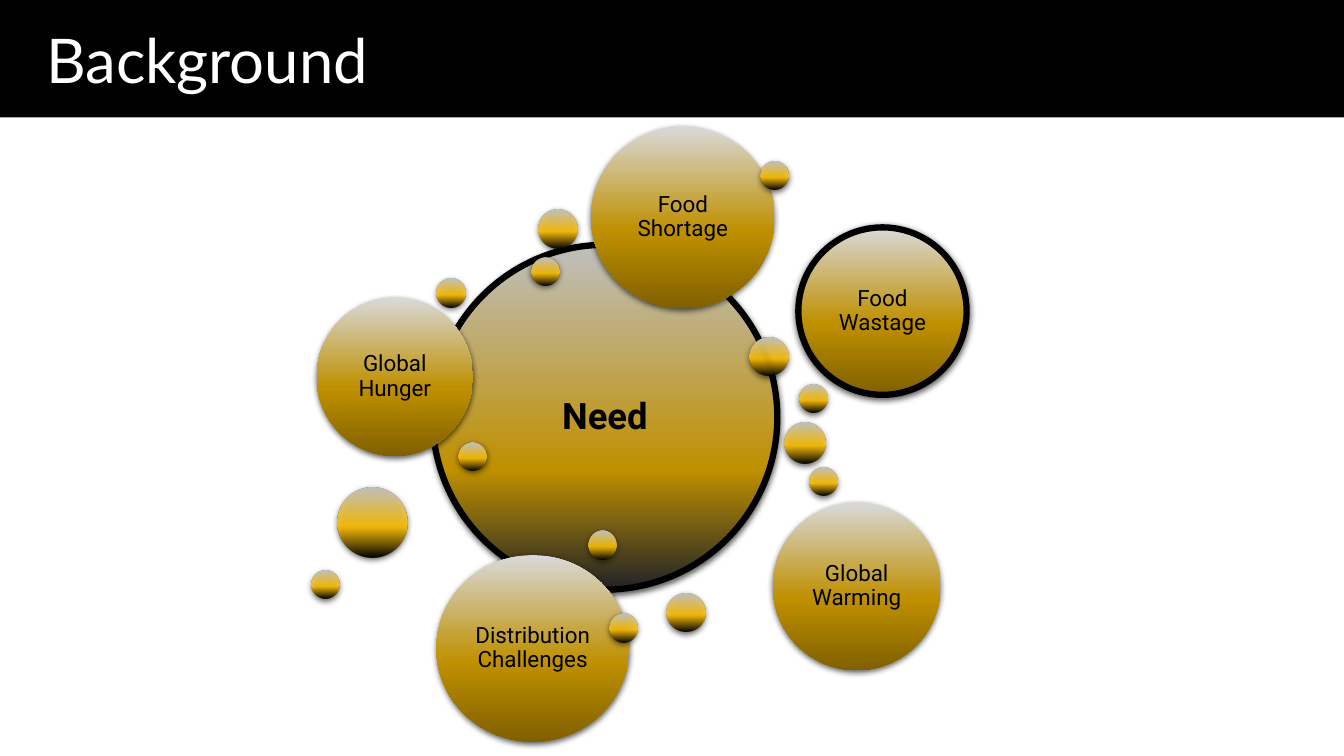
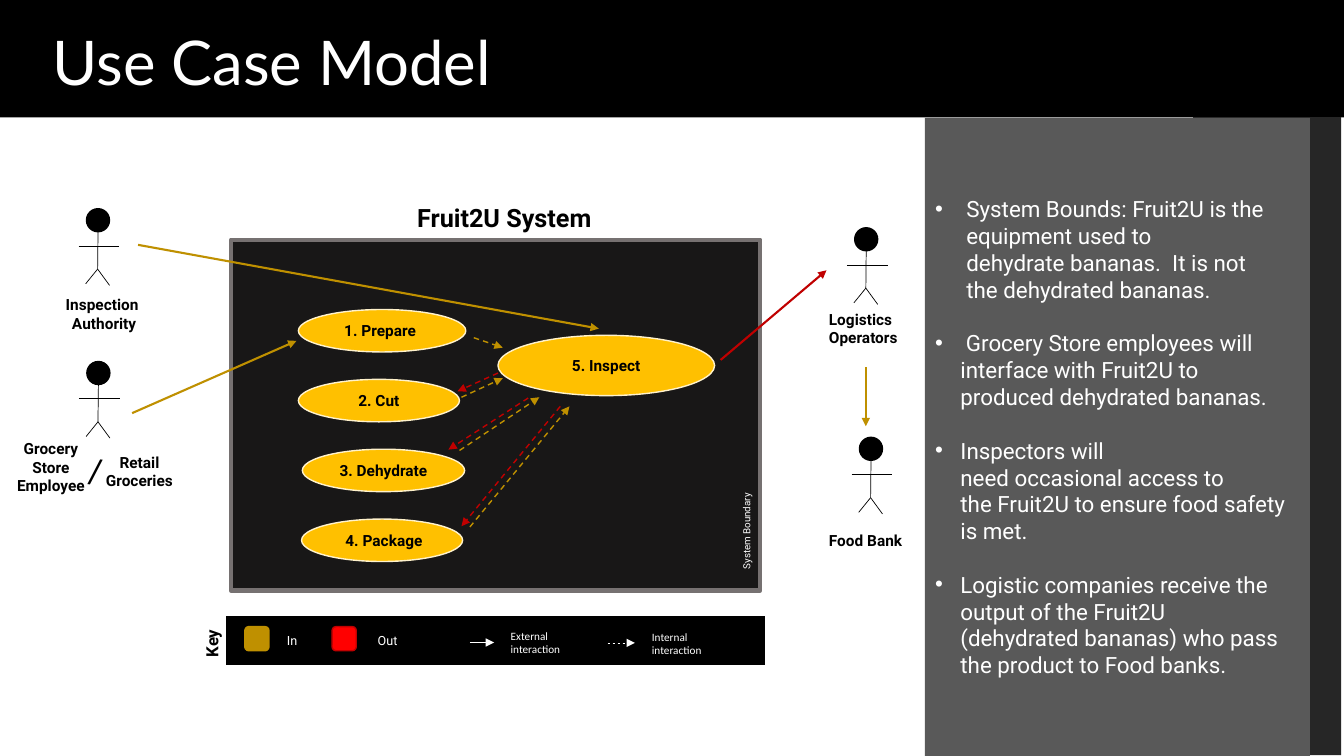
from dataclasses import dataclass
from typing import Any, NamedTuple

from lxml.etree import SubElement
from pptx import Presentation
from pptx.dml.color import RGBColor
from pptx.enum.dml import MSO_LINE
from pptx.enum.shapes import MSO_CONNECTOR, MSO_SHAPE
from pptx.enum.text import MSO_ANCHOR, MSO_AUTO_SIZE, PP_ALIGN
from pptx.oxml.ns import qn
from pptx.util import Cm, Pt


@dataclass(frozen=True)
class Theme:
    black: str = "000000"
    white: str = "FFFFFF"
    gold: str = "BF9000"
    amber: str = "FFC000"
    cream: str = "FFF2CC"
    red: str = "FF0000"
    dark_red: str = "C00000"
    panel: str = "595959"
    strip: str = "262626"
    system: str = "181717"
    system_edge: str = "767171"
    heading_font: str = "Lato"
    body_font: str = "Roboto"
    legend_font: str = "Calibri"
    title_size: float = 44
    core_size: float = 26
    body_size: float = 16
    label_size: float = 11


THEME = Theme()
TIE = "~"
NO_BREAK_SPACE = chr(160)
CORE_GRADIENT = [(0, "BFBFBF", 100), (65, THEME.gold, 100), (99, THEME.strip, 100)]
TOPIC_GRADIENT = [(0, "D9D9D9", 100), (57, THEME.gold, 100), (100, "806000", 100)]
DOT_GRADIENT = [(0, "BFBFBF", 100), (56, THEME.amber, 89), (100, THEME.black, 100)]


class Box(NamedTuple):
    left: float
    top: float
    width: float
    height: float


@dataclass(frozen=True)
class TextStyle:
    size: float = THEME.label_size
    color: str = THEME.black
    bold: bool = False
    font: str = THEME.body_font
    align: Any = PP_ALIGN.LEFT
    spacing: float = 1.0


@dataclass(frozen=True)
class Bubble:
    box: Box
    label: str = ""
    outlined: bool = False
    core: bool = False


@dataclass(frozen=True)
class Label:
    text: str
    box: Box
    style: TextStyle
    rotation: float = 0


@dataclass(frozen=True)
class Arrow:
    start: tuple[float, float]
    end: tuple[float, float]
    color: str = THEME.gold
    weight: float = 1.5
    dashed: bool = False


BOLD = TextStyle(bold=True)
CENTERED = TextStyle(bold=True, align=PP_ALIGN.CENTER)
TITLE = TextStyle(THEME.title_size, THEME.white, font=THEME.heading_font, spacing=0.9)
CORE = TextStyle(THEME.core_size, bold=True, align=PP_ALIGN.CENTER, spacing=0.9)
TOPIC = TextStyle(THEME.body_size, align=PP_ALIGN.CENTER, spacing=0.9)
BODY = TextStyle(THEME.body_size, THEME.white)
KEY = TextStyle(9, THEME.white)
LEGEND = TextStyle(8, THEME.white, font=THEME.legend_font)


def dot(left: float, top: float, size: float = 0.71) -> Bubble:
    return Bubble(Box(left, top, size, size))


BUBBLES = [
    Bubble(Box(10.9, 6.17, 8.69, 8.69), "Need", outlined=True, core=True),
    dot(19.77, 10.66, 1.03),
    dot(20.14, 9.69),
    dot(16.8, 14.95, 0.97),
    dot(13.39, 6.48),
    dot(11.56, 11.15),
    Bubble(Box(7.98, 7.5, 3.94, 3.99), "Global Hunger"),
    dot(13.57, 5.28, 0.97),
    dot(8.51, 12.29, 1.75),
    Bubble(Box(20.12, 5.73, 4.24, 4.22), "Food Wastage", outlined=True),
    dot(18.9, 8.5, 0.97),
    dot(7.85, 14.38),
    dot(14.83, 13.38),
    Bubble(Box(19.48, 12.67, 4.22, 4.22), "Global Warming"),
    dot(20.4, 11.78),
    Bubble(Box(11, 13.99, 4.85, 4.7), "Distribution Challenges"),
    dot(15.36, 15.47),
    Bubble(Box(14.9, 3.2, 4.62, 4.57), "Food Shortage"),
    dot(11.01, 7.03),
    dot(19.17, 4.07),
]

ARROWS = [
    Arrow((3.48, 6.17), (15.09, 8.28)),
    Arrow((3.33, 10.41), (7.47, 8.59)),
    Arrow((21.82, 9.25), (21.82, 10.74)),
    Arrow((18.16, 9.07), (20.83, 6.81), THEME.dark_red),
    Arrow((11.94, 8.51), (12.67, 8.76), weight=1, dashed=True),
    Arrow((11.84, 13.28), (14.35, 10.24), weight=1, dashed=True),
    Arrow((11.63, 10.01), (12.67, 9.53), weight=1, dashed=True),
    Arrow((11.58, 11.35), (13.59, 10.01), weight=1, dashed=True),
    Arrow((12.55, 9.4), (11.53, 9.86), THEME.dark_red, 1, True),
    Arrow((13.31, 10.03), (11.3, 11.33), THEME.dark_red, 1, True),
    Arrow((14.12, 10.24), (11.63, 13.26), THEME.dark_red, 1, True),
    Arrow((11.84, 16.19), (12.45, 16.19), THEME.white, 0.5),
    Arrow((15.31, 16.2), (16, 16.2), THEME.white, 0.5, True),
]

STEPS = [
    ("1. Prepare~", 7.52, 4.22),
    ("2. Cut", 7.52, 4.06),
    ("3. Dehydrate", 7.62, 4.09),
    ("~4. Package", 7.6, 4.06),
]

LABELS = [
    Label("Inspection \nAuthority", Box(1.33, 7.32, 2.59, 1.19), CENTERED),
    Label("Grocery Store Employee", Box(0.03, 10.95, 2.51, 1.68), CENTERED),
    Label("Retail Groceries", Box(2.26, 11.29, 2.51, 1.19), CENTERED),
    Label("/", Box(1.98, 11.3, 2.54, 1.27), TextStyle(24), 6.4),
    Label("Logistics Operators", Box(20.64, 7.68, 2.44, 1.19), BOLD),
    Label("Food Bank", Box(20.64, 13.26, 2.54, 0.74), BOLD),
    Label("Fruit2U System", Box(9.52, 4.98, 6.38, 1.02),
          TextStyle(18, bold=True, align=PP_ALIGN.CENTER)),
    Label("System Boundary", Box(17.5, 12.99, 2.64, 0.56), TextStyle(7, THEME.white), 270),
    Label("Key", Box(4.55, 15.65, 1.57, 0.76), TextStyle(12, bold=True), 270),
    Label("In", Box(6.98, 15.82, 0.81, 0.64), KEY),
    Label("Out", Box(9.27, 15.82, 1.07, 0.64), KEY),
    Label("External interaction", Box(12.62, 15.73, 2.21, 0.94), LEGEND),
    Label("Internal interaction", Box(16.18, 15.75, 2.21, 0.94), LEGEND),
]

ACTOR_HEADS = [(2.18, 5.26), (2.19, 9.11), (21.66, 11.02), (21.54, 5.74)]
ACTOR_LIMBS = [
    ((0.29, 0.58), (0.28, 1.52)),
    ((0.28, 1.52), (-0.02, 1.89)),
    ((0.28, 1.52), (0.58, 1.93)),
    ((-0.2, 0.94), (0.83, 0.94)),
]

BULLETS = [
    "System Bounds: Fruit2U is the equipment used to dehydrate~bananas.~ It is not the~dehydrated bananas.",
    "~Grocery Store~employees will interface with Fruit2U to produced~dehydrated bananas.",
    "Inspectors will need~occasional~access to the~Fruit2U to ensure food~safety is met.",
    "Logistic companies~receive the output of the~Fruit2U (dehydrated~bananas) who pass the~product to Food banks.",
]


def apply_format(target: Any, values: dict[str, Any]) -> None:
    for name, value in values.items():
        setattr(target, name, value)


def place(shape: Any, box: Box) -> None:
    apply_format(shape, {name: Cm(value) for name, value in box._asdict().items()})


def write_text(shape: Any, text: str, style: TextStyle, anchor: Any = MSO_ANCHOR.MIDDLE) -> None:
    frame = shape.text_frame
    frame.text = text.replace(TIE, NO_BREAK_SPACE)
    apply_format(frame, {"word_wrap": True, "auto_size": MSO_AUTO_SIZE.NONE,
                         "vertical_anchor": anchor})
    for paragraph in frame.paragraphs:
        apply_format(paragraph, {"alignment": style.align, "line_spacing": style.spacing,
                                 "space_before": Pt(0), "space_after": Pt(0)})
        for run in paragraph.runs:
            apply_format(run.font, {"name": style.font, "size": Pt(style.size),
                                    "bold": style.bold})
            run.font.color.rgb = RGBColor.from_string(style.color)


def add_block(slide: Any, kind: Any, box: Box, fill: str = "", line: str = "",
              weight: float = 1) -> Any:
    shape = slide.shapes.add_shape(kind, *map(Cm, box))
    shape.shadow.inherit = False
    if fill:
        shape.fill.solid()
        shape.fill.fore_color.rgb = RGBColor.from_string(fill)
    if line:
        shape.line.color.rgb = RGBColor.from_string(line)
        shape.line.width = Pt(weight)
    else:
        shape.line.fill.background()
    return shape


def add_color(parent: Any, color: str, opacity: int) -> None:
    node = SubElement(parent, qn("a:srgbClr"), val=color)
    if opacity < 100:
        SubElement(node, qn("a:alpha"), val=str(opacity * 1000))


def add_bubble(slide: Any, bubble: Bubble) -> None:
    outline = THEME.black if bubble.outlined else ""
    shape = add_block(slide, MSO_SHAPE.OVAL, bubble.box, line=outline, weight=4.5)
    shape.fill.gradient()
    shape.fill.gradient_angle = 270
    stops = shape.element.spPr.find(qn("a:gradFill")).find(qn("a:gsLst"))
    for stop in list(stops):
        stops.remove(stop)
    topic_gradient = TOPIC_GRADIENT if bubble.label else DOT_GRADIENT
    for position, color, opacity in CORE_GRADIENT if bubble.core else topic_gradient:
        add_color(SubElement(stops, qn("a:gs"), pos=str(position * 1000)), color, opacity)
    shadow = SubElement(shape.element.spPr.find(qn("a:effectLst")), qn("a:outerShdw"),
                        blurRad=str(Pt(4.5)), dist=str(Pt(1.5)), dir="5400000",
                        algn="ctr", rotWithShape="0")
    add_color(shadow, THEME.black, 63)
    if bubble.label:
        write_text(shape, bubble.label, CORE if bubble.core else TOPIC)
        sides = ("left", "top", "right", "bottom")
        apply_format(shape.text_frame, {f"margin_{side}": Cm(0.18) for side in sides})


def add_line(slide: Any, line: Arrow, headed: bool = True) -> None:
    connector = slide.shapes.add_connector(
        MSO_CONNECTOR.STRAIGHT, *map(Cm, line.start + line.end))
    connector.line.color.rgb = RGBColor.from_string(line.color)
    connector.line.width = Pt(line.weight)
    if line.dashed:
        connector.line.dash_style = MSO_LINE.DASH
    properties = connector.element.spPr
    if headed:
        SubElement(properties.find(qn("a:ln")), qn("a:tailEnd"), type="triangle")
    SubElement(properties, qn("a:effectLst"))


def add_label(slide: Any, label: Label) -> None:
    shape = slide.shapes.add_textbox(*map(Cm, label.box))
    shape.rotation = label.rotation
    write_text(shape, label.text, label.style, MSO_ANCHOR.TOP)


def add_actor(slide: Any, left: float, top: float) -> None:
    add_block(slide, MSO_SHAPE.OVAL, Box(left, top, 0.58, 0.58), THEME.black, THEME.black)
    for start, end in ACTOR_LIMBS:
        limb = Arrow((left + start[0], top + start[1]), (left + end[0], top + end[1]),
                     THEME.black, 0.5)
        add_line(slide, limb, headed=False)


def add_titled_slide(presentation: Any, layout: int, title: str, left: float, top: float) -> Any:
    slide = presentation.slides.add_slide(presentation.slide_layouts[layout])
    place(slide.shapes.title, Box(left, top, 29.21, 1.93))
    write_text(slide.shapes.title, title, TITLE)
    return slide


def fill_panel(slide: Any) -> None:
    body = slide.placeholders[1]
    slide.shapes.element.append(body.element)
    place(body, Box(23.31, 2.97, 9.7, 16.08))
    body.fill.solid()
    body.fill.fore_color.rgb = RGBColor.from_string(THEME.panel)
    write_text(body, "\n".join(BULLETS), BODY)
    for index, node in enumerate(body.element.iter(qn("a:p"))):
        properties = node.get_or_add_pPr()
        indent = Cm(0.64 if index else 0.79)
        properties.set("marL", str(indent))
        properties.set("indent", str(-indent))
        SubElement(properties, qn("a:buFont"), typeface="Arial")
        SubElement(properties, qn("a:buChar"), char="•")
    for paragraph in body.text_frame.paragraphs[1:]:
        paragraph.space_before = Pt(19)


def build_background(presentation: Any) -> None:
    slide = add_titled_slide(presentation, 5, "Background", 0.91, 0.64)
    band = add_block(slide, MSO_SHAPE.RECTANGLE, Box(0, 0, 33.87, 2.96), THEME.black)
    presentation.slide_master.shapes.element.insert(2, band.element)
    for bubble in BUBBLES:
        add_bubble(slide, bubble)


def build_use_case_model(presentation: Any) -> None:
    slide = add_titled_slide(presentation, 1, "Use Case Model", 1.07, 0.69)
    add_block(slide, MSO_SHAPE.FLOWCHART_PROCESS, Box(5.69, 15.52, 13.59, 1.24), THEME.black)
    add_block(slide, MSO_SHAPE.RECTANGLE, Box(30.07, 2.95, 3.73, 16.08), THEME.strip)
    add_block(slide, MSO_SHAPE.RECTANGLE, Box(5.82, 6.04, 13.34, 8.84),
              THEME.system, THEME.system_edge, 3)
    for arrow in ARROWS:
        add_line(slide, arrow)
    use_cases = [(text, Box(left, 7.8 + 1.76 * row, width, 1.07))
                 for row, (text, left, width) in enumerate(STEPS)]
    for text, box in use_cases + [("5. Inspect", Box(12.55, 8.45, 5.46, 1.52))]:
        oval = add_block(slide, MSO_SHAPE.OVAL, box, THEME.amber, THEME.cream)
        write_text(oval, text, CENTERED)
    for left, top in ACTOR_HEADS:
        add_actor(slide, left, top)
    for left, fill, line in [(6.17, THEME.gold, THEME.gold), (8.37, THEME.red, THEME.dark_red)]:
        add_block(slide, MSO_SHAPE.ROUNDED_RECTANGLE, Box(left, 15.79, 0.61, 0.61), fill, line)
    for label in LABELS:
        add_label(slide, label)
    fill_panel(slide)


def main() -> None:
    presentation = Presentation()
    apply_format(presentation, {"slide_width": Cm(33.87), "slide_height": Cm(19.05)})
    build_background(presentation)
    build_use_case_model(presentation)
    presentation.save("out.pptx")


if __name__ == "__main__":
    main()
